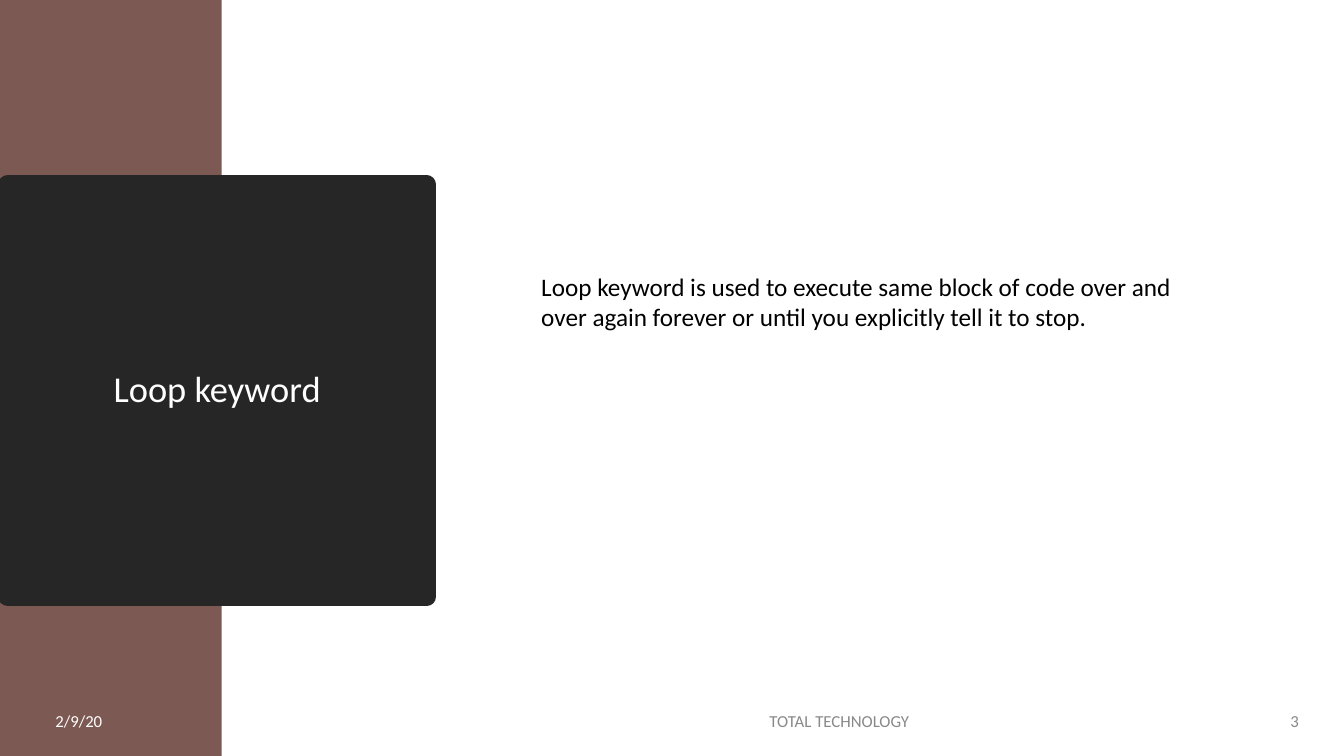
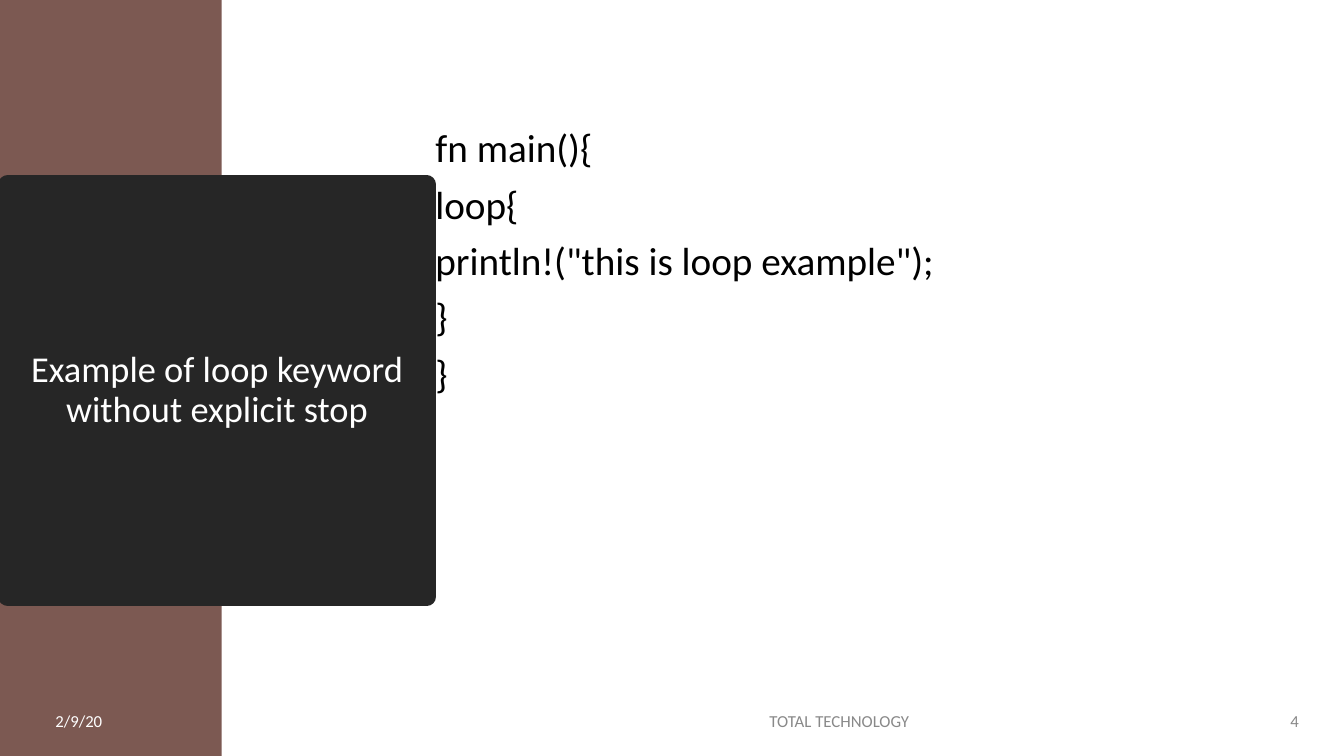
"""Build two slides on the loop keyword."""
from lxml.etree import SubElement
from pptx import Presentation
from pptx.dml.color import RGBColor
from pptx.enum.shapes import MSO_SHAPE
from pptx.enum.text import MSO_ANCHOR, PP_ALIGN
from pptx.oxml.ns import qn
from pptx.util import Inches, Pt

FONT = "Calibri"
BROWN, DARK, WHITE, BLACK, GREY = "7C5952", "262626", "FFFFFF", "000000", "898989"
HIGH = 7.5


def paint(item, color):
    """Give a fill or a font a solid colour."""
    if hasattr(item, "solid"):
        item.solid()
        item.fore_color.rgb = RGBColor.from_string(color)
    else:
        item.color.rgb = RGBColor.from_string(color)


def write(frame, lines, size, color, align=PP_ALIGN.LEFT,
          anchor=MSO_ANCHOR.TOP, pitch=1, gap=0):
    """Set one paragraph per line in a text frame."""
    frame.word_wrap = True
    frame.vertical_anchor = anchor
    for row, line in enumerate(lines):
        para = frame.add_paragraph() if row else frame.paragraphs[0]
        para.alignment = align
        para.line_spacing = pitch
        para.space_before = Pt(gap if row else 0)
        run = para.add_run()
        run.text = line
        run.font.name = FONT
        run.font.size = Pt(size)
        paint(run.font, color)


def block(slide, box, color):
    """Add a plain filled rectangle."""
    shape = slide.shapes.add_shape(MSO_SHAPE.RECTANGLE, *map(Inches, box))
    shape.shadow.inherit = False
    paint(shape.fill, color)
    shape.line.fill.background()
    return shape


def label(slide, box, lines, size, color, **style):
    """Add a text box."""
    text = slide.shapes.add_textbox(*map(Inches, box))
    write(text.text_frame, lines, size, color, **style)


def panel(slide, title):
    """Add the dark title panel with rounded outline."""
    shape = block(slide, (0.08, 1.83, 4.15, 4.09), DARK)
    paint(shape.line.fill, DARK)
    shape.line.width = Pt(13.75)
    SubElement(shape.element.spPr.find(qn("a:ln")), qn("a:round"))
    write(shape.text_frame, [title], 26, WHITE, PP_ALIGN.CENTER,
          MSO_ANCHOR.MIDDLE, 0.9)


def footer(slide, number):
    """Add the date, the group name and the slide number."""
    parts = (
        (0.45, 1.62, "2/9/20", WHITE, PP_ALIGN.LEFT),
        (4.48, 7.69, "TOTAL TECHNOLOGY", GREY, PP_ALIGN.CENTER),
        (12.37, 0.61, str(number), GREY, PP_ALIGN.RIGHT),
    )
    for left, width, text, color, align in parts:
        label(slide, (left, 6.95, width, 0.4), [text], 12, color,
              align=align, anchor=MSO_ANCHOR.MIDDLE)


def page(deck, title, number):
    """Add a slide with the shared band, panel and footer."""
    slide = deck.slides.add_slide(deck.slide_layouts[6])
    block(slide, (0, 0, 2.2, HIGH), BROWN)
    panel(slide, title)
    footer(slide, number)
    return slide


def main():
    """Build and save the deck."""
    deck = Presentation()
    deck.slide_width, deck.slide_height = Inches(13.33), Inches(HIGH)

    slide = page(deck, "Loop keyword", 3)
    label(slide, (5.27, 2.64, 6.67, 1.62),
          ["Loop keyword is used to execute same block of code over and over "
           "again forever or until you explicitly tell it to stop."], 18, BLACK)

    slide = page(deck, "Example of loop keyword without explicit stop", 4)
    code = ["fn main(){", "loop{", 'println!("this is loop example");', "}", "}"]
    label(slide, (4.22, 1.23, 8.76, 4.46), code, 28, BLACK, pitch=0.9, gap=10)

    deck.save("out.pptx")


if __name__ == "__main__":
    main()
